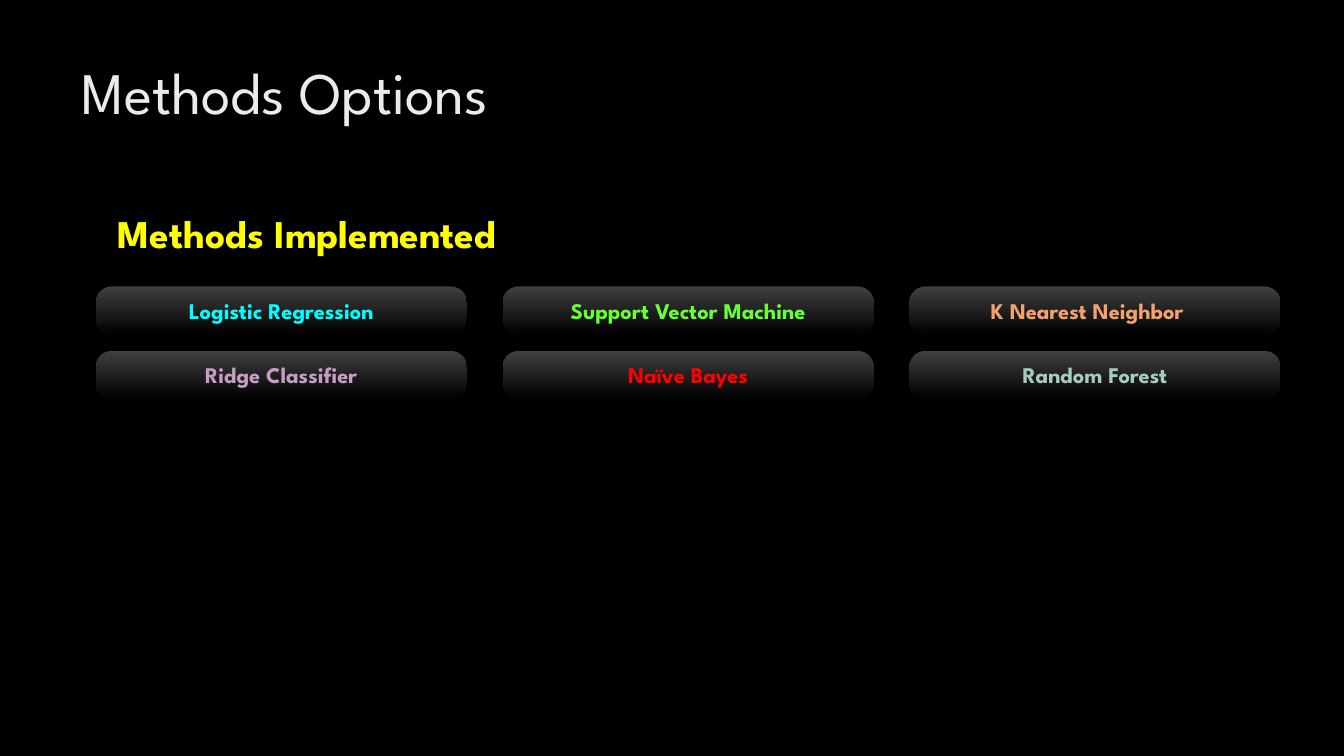
from dataclasses import dataclass

from pptx import Presentation
from pptx.dml.color import RGBColor
from pptx.enum.shapes import MSO_SHAPE as Shape
from pptx.enum.text import MSO_ANCHOR as Anchor, PP_ALIGN as Align
from pptx.util import Inches, Pt


@dataclass(frozen=True)
class Theme:
    font: str = "League Spartan"
    background: str = "000000"
    title: str = "EBEBEB"
    heading: str = "FFFF00"
    button_top: str = "404040"
    button_bottom: str = "000000"
    title_size: int = 42
    heading_size: int = 28
    button_size: int = 16


THEME = Theme()
COLUMNS = 3
BUTTON_WIDTH, BUTTON_HEIGHT = 3.68, 0.48
INSET = 0.1

# Label, text colour and extra right inset, row by row
METHODS = [
    ("Logistic Regression", "00FFFF", 0),
    ("Support Vector Machine", "66FF33", 0),
    ("K Nearest Neighbor", "F4A16F", 0.15),
    ("Ridge Classifier", "C59EC3", 0),
    ("Naïve Bayes", "FF0000", 0),
    ("Random Forest", "A6CDBC", 0),
]


def write_text(shape, text, size, color, bold=False):
    frame = shape.text_frame
    frame.word_wrap = True
    frame.text = text
    font = frame.paragraphs[0].runs[0].font
    font.name = THEME.font
    font.size = Pt(size)
    font.bold = bold
    font.color.rgb = RGBColor.from_string(color)
    return frame


def add_line(slide, box, text, size, color, bold=False, indent=0):
    """Place one line of text at the top of its box."""
    shape = slide.shapes.add_textbox(*map(Inches, box))
    frame = write_text(shape, text, size, color, bold)
    frame.margin_left = Inches(INSET + indent)


def add_button(slide, box, label, color, extra_inset):
    button = slide.shapes.add_shape(Shape.ROUNDED_RECTANGLE, *map(Inches, box))
    button.adjustments[0] = 0.34
    button.shadow.inherit = False
    button.line.fill.background()

    # Gradient from top to bottom
    button.fill.gradient()
    button.fill.gradient_angle = 270
    shades = (THEME.button_top, THEME.button_bottom)
    for stop, shade in zip(button.fill.gradient_stops, shades):
        stop.color.rgb = RGBColor.from_string(shade)

    frame = write_text(button, label, THEME.button_size, color, bold=True)
    frame.vertical_anchor = Anchor.MIDDLE
    frame.margin_right = Inches(INSET + extra_inset)
    frame.paragraphs[0].alignment = Align.CENTER


def add_method_grid(slide, box):
    """Spread the buttons so that the outer ones touch the box edges."""
    left, top, width, height = box
    rows = len(METHODS) // COLUMNS
    column_step = (width - BUTTON_WIDTH) / (COLUMNS - 1)
    row_step = (height - BUTTON_HEIGHT) / (rows - 1)
    for index, method in enumerate(METHODS):
        row, column = divmod(index, COLUMNS)
        place = (left + column * column_step, top + row * row_step,
                 BUTTON_WIDTH, BUTTON_HEIGHT)
        add_button(slide, place, *method)


def build_methods_slide(presentation):
    slide = presentation.slides.add_slide(presentation.slide_layouts[6])
    slide.background.fill.solid()
    slide.background.fill.fore_color.rgb = RGBColor.from_string(THEME.background)

    # Title, heading, then the methods
    add_line(slide, (0.71, 0.5, 10.29, 1.53), "Methods Options",
             THEME.title_size, THEME.title)
    add_line(slide, (0.95, 2.03, 9.2, 0.81), "Methods Implemented",
             THEME.heading_size, THEME.heading, bold=True, indent=0.12)
    add_method_grid(slide, (0.95, 2.84, 11.75, 1.12))


def main():
    presentation = Presentation()
    presentation.slide_width = Inches(13.33)
    presentation.slide_height = Inches(7.5)
    build_methods_slide(presentation)
    presentation.save("out.pptx")


if __name__ == "__main__":
    main()
